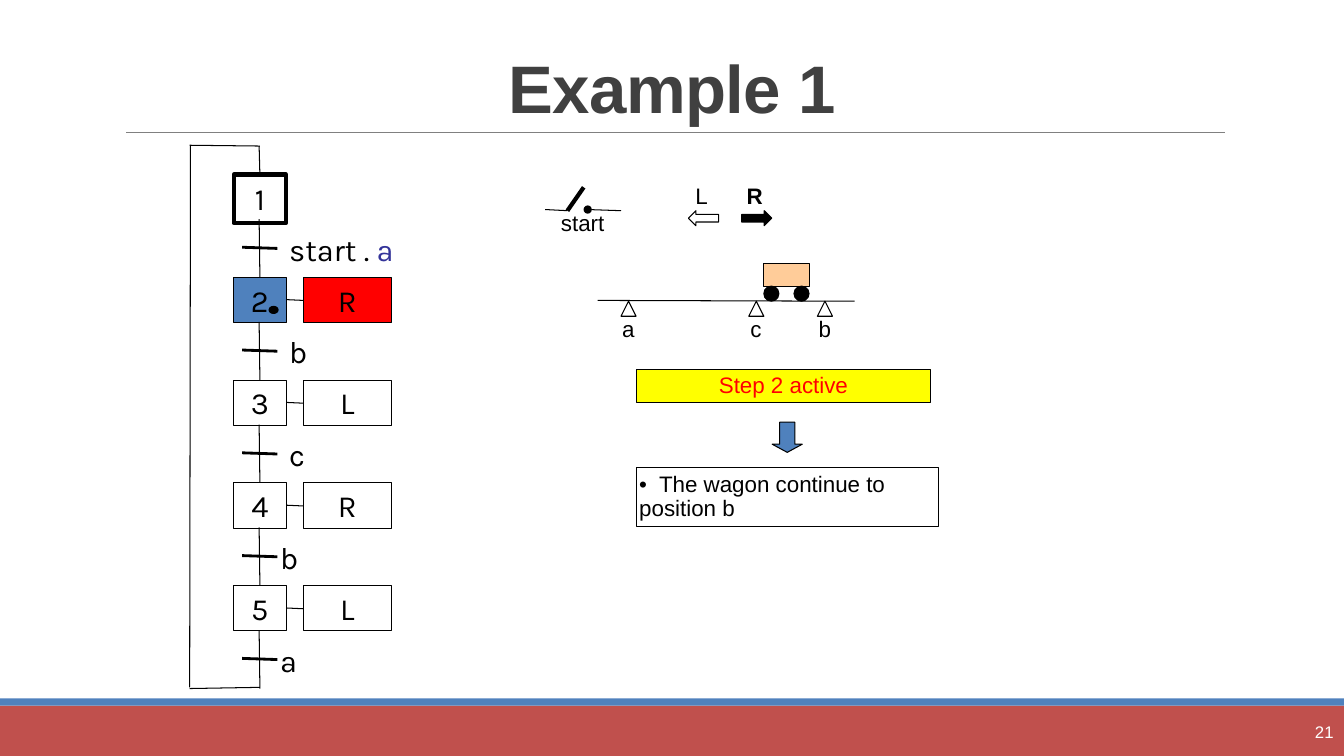
from pptx import Presentation
from pptx import util as u
from pptx.dml.color import RGBColor
from pptx.enum import shapes, text
from pptx.oxml.ns import qn
from lxml import etree

SHAPE = shapes.MSO_SHAPE
LEFT, CENTER, RIGHT = text.PP_ALIGN.LEFT, text.PP_ALIGN.CENTER, text.PP_ALIGN.RIGHT
BLACK, WHITE, BLUE = "000000", "FFFFFF", "4F81BD"


def colour(value):
    return RGBColor.from_string(value)


class Sketch:
    """Draws on one page; all lengths are in centimetres."""
    font, size, spacing = "Arial", 16, 17.1

    def __init__(self, page):
        self.page = page

    def style(self, font, size, spacing):
        self.font, self.size, self.spacing = font, size, spacing

    def set_words(self, frame, words, ink=BLACK, align=CENTER, size=None, inset=0.0):
        frame.word_wrap = True
        frame.vertical_anchor = text.MSO_ANCHOR.MIDDLE
        frame.margin_left = frame.margin_right = u.Cm(inset)
        frame.margin_top = frame.margin_bottom = 0
        frame.text = words
        para = frame.paragraphs[0]
        para.alignment = align
        para.line_spacing = u.Pt(self.spacing)
        self.set_font(para.runs[0], ink, size)
        return para

    def set_font(self, span, ink=BLACK, size=None):
        span.font.name = self.font
        span.font.size = u.Pt(size or self.size)
        span.font.color.rgb = colour(ink)

    def label(self, words, left, top, width, height, **look):
        box = self.page.shapes.add_textbox(*map(u.Cm, (left, top, width, height)))
        return self.set_words(box.text_frame, words, **look)

    def shape(self, kind, left, top, width, height, fill=None, weight=0.75,
              words=None, **look):
        item = self.page.shapes.add_shape(kind, *map(u.Cm, (left, top, width, height)))
        item.shadow.inherit = False
        if fill:
            item.fill.solid()
            item.fill.fore_color.rgb = colour(fill)
        else:
            item.fill.background()
        if weight:
            item.line.color.rgb = colour(BLACK)
            item.line.width = u.Pt(weight)
        else:
            item.line.fill.background()
        if words:
            self.set_words(item.text_frame, words, **look)
        return item

    def line(self, x1, y1, x2, y2, weight=0.75, ink=BLACK, head=None):
        item = self.page.shapes.add_connector(
            shapes.MSO_CONNECTOR.STRAIGHT, *map(u.Cm, (x1, y1, x2, y2)))
        item.line.color.rgb = colour(ink)
        item.line.width = u.Pt(weight)
        properties = item._element.spPr
        if head:
            etree.SubElement(properties.find(qn("a:ln")), qn("a:headEnd"), type=head)
        etree.SubElement(properties, qn("a:effectLst"))

    def title(self, words):
        holder = self.page.shapes.title
        holder.left, holder.top = u.Cm(2.97), u.Cm(0.43)
        holder.width, holder.height = u.Cm(27.94), u.Cm(2.9)
        frame = holder.text_frame
        frame.text = words
        frame.vertical_anchor = text.MSO_ANCHOR.BOTTOM
        para = frame.paragraphs[0]
        para.alignment, para.line_spacing = CENTER, 0.85
        span = para.runs[0]
        self.set_font(span, "404040", 48)
        span.font.bold = True
        span._r.get_or_add_rPr().set("spc", "-50")


def draw_frame(sketch):
    sketch.shape(SHAPE.RECTANGLE, 0, 17.78, 33.87, 1.27, "C0504D", 0)
    sketch.shape(SHAPE.RECTANGLE, 0, 17.6, 33.87, 0.18, BLUE, 0)
    sketch.line(3.18, 3.33, 30.86, 3.33, 0.5, "808080")
    sketch.title("Example 1")
    sketch.label("21", 30.23, 17.88, 3.63, 1.02, ink=WHITE, align=RIGHT, size=12, inset=0.25)


def draw_wagon(sketch):
    # Track, wagon and position sensors
    sketch.line(15.06, 7.57, 21.54, 7.59)
    sketch.shape(SHAPE.RECTANGLE, 19.25, 6.63, 1.14, 0.58, "FFCC99")
    for left in (19.25, 20.01):
        sketch.shape(SHAPE.OVAL, left, 7.21, 0.38, 0.38, BLACK)
    for sensor, left in (("a", 15.65), ("c", 18.87), ("b", 20.6)):
        sketch.shape(SHAPE.ISOSCELES_TRIANGLE, left, 7.59, 0.38, 0.38)
        sketch.label(sensor, left - 0.3, 8, 0.97, 0.61)

    # Direction arrows
    for name, kind, left, fill in (("L", SHAPE.LEFT_ARROW, 17.35, None),
                                   ("R", SHAPE.RIGHT_ARROW, 18.69, BLACK)):
        sketch.shape(kind, left, 5.31, 0.76, 0.38, fill)
        para = sketch.label(name, left - 0.05, 4.65, 0.76, 0.61)
        para.runs[0].font.bold = name == "R"

    # Start switch
    sketch.line(14.3, 5.31, 14.71, 4.72, 3)
    sketch.line(13.74, 5.28, 14.3, 5.31)
    sketch.line(14.81, 5.28, 15.65, 5.31, head="oval")
    sketch.label("start", 13.82, 5.33, 1.73, 0.61)


def draw_explanation(sketch):
    sketch.shape(SHAPE.RECTANGLE, 16.03, 9.3, 7.43, 0.84, "FFFF00",
                 words="Step 2 active", ink="FF0000")
    arrow = sketch.shape(SHAPE.DOWN_ARROW, 19.46, 10.64, 0.76, 0.76, BLUE)
    arrow.adjustments[1] = 0.27
    sketch.shape(SHAPE.RECTANGLE, 16.03, 11.79, 7.62, 1.47, align=LEFT, inset=0.08,
                 words="•  The wagon continue to position b")


def draw_grafcet(sketch):
    # Loop back to the first step
    for ends in ((6.55, 17.32, 4.78, 17.35), (4.78, 17.32, 4.8, 3.68),
                 (4.78, 3.66, 6.55, 3.68), (6.53, 3.68, 6.55, 4.42)):
        sketch.line(*ends)

    # Steps with action, condition and the condition's left edge
    steps = ((None, "start . ", 7.29), ("R", "b", 7.29), ("L", "c", 7.29),
             ("R", "b", 7.06), ("L", "a", 7.06))
    pitch = 2.59
    for index, (action, condition, left) in enumerate(steps):
        top = 4.4 + index * pitch
        active = index == 1
        height, weight = (1.14, 0.75) if action else (1.22, 3)
        sketch.shape(SHAPE.RECTANGLE, 5.89, top, 1.32, height, BLUE if active else None,
                     weight, words=str(index + 1))
        if action:
            sketch.shape(SHAPE.RECTANGLE, 7.65, top, 2.21, height,
                         "FF0000" if active else None, words=action)
            sketch.line(7.21, top + 0.56, 7.65, top + 0.58)
        sketch.line(6.53, top + 1.12, 6.55, top + pitch)
        sketch.line(6.1, top + 1.83, 6.99, top + 1.86, 2)
        para = sketch.label(condition, left, top + 1.42, 2.92, 0.91, align=LEFT)
        if not action:
            span = para.add_run()
            span.text = "a"
            sketch.set_font(span, "333399")

    # Token of the active step
    sketch.shape(SHAPE.OVAL, 6.78, 7.72, 0.23, 0.18, BLACK)


def main():
    deck = Presentation()
    deck.slide_width, deck.slide_height = u.Cm(33.87), u.Cm(19.05)
    sketch = Sketch(deck.slides.add_slide(deck.slide_layouts[5]))
    draw_frame(sketch)
    draw_wagon(sketch)
    draw_explanation(sketch)
    sketch.style("Karla", 22, 26.1)
    draw_grafcet(sketch)
    deck.save("out.pptx")


if __name__ == "__main__":
    main()
